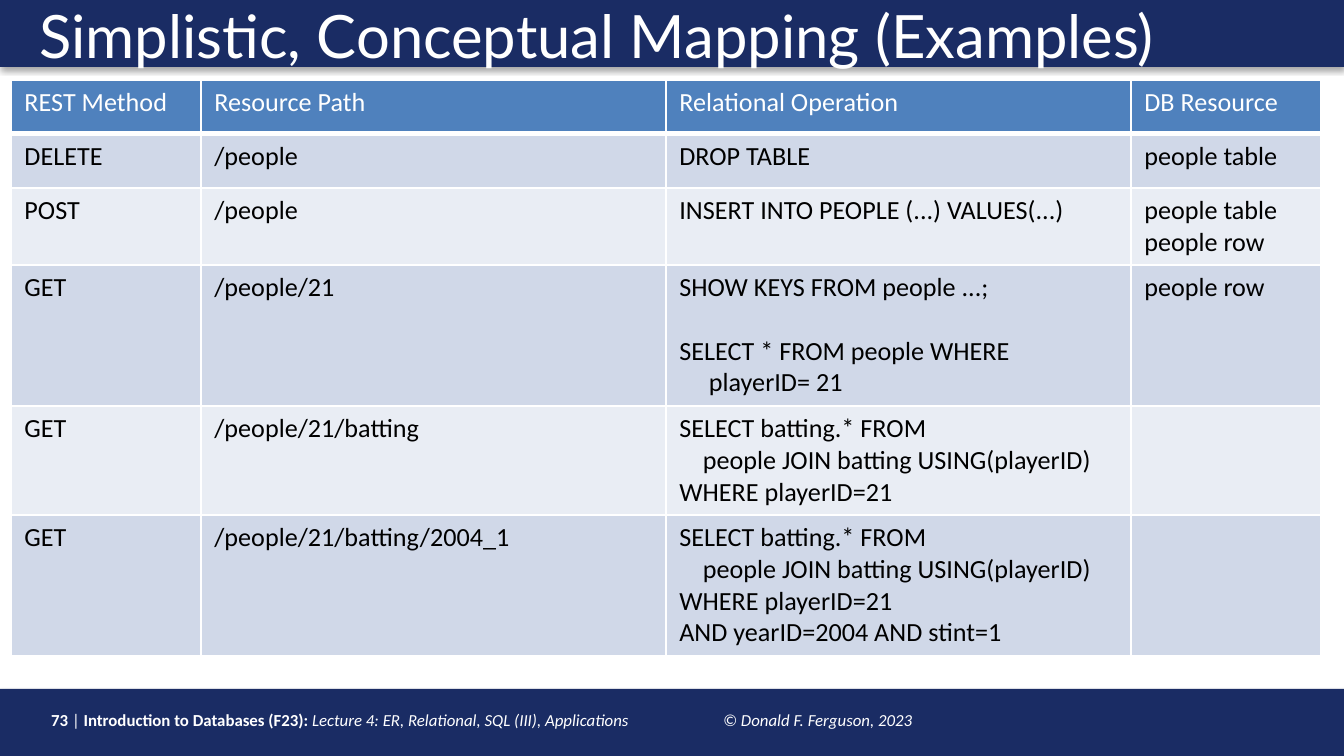
from dataclasses import dataclass

from lxml import etree
from pptx import Presentation
from pptx.dml.color import RGBColor
from pptx.enum.shapes import MSO_SHAPE
from pptx.enum.text import MSO_ANCHOR
from pptx.oxml import parse_xml
from pptx.oxml.ns import nsdecls, qn
from pptx.util import Pt

RECTANGLE = MSO_SHAPE.RECTANGLE
TOP = MSO_ANCHOR.TOP
PX = 914400 / 134.4

NAVY, WHITE, BLACK = "1A2C64", "FFFFFF", "000000"
HEADER_BLUE, BAND_DARK, BAND_LIGHT = "4F81BD", "D0D8E8", "E9EDF4"
TITLE_FORMAT = {"name": "Lato", "size": Pt(32), "bold": False}
FOOTER_FORMAT = {"name": "Calibri", "size": Pt(9)}
CELL_FORMAT = {"name": "Calibri", "size": Pt(14), "bold": False}
STATEMENT_GAP = Pt(17)
FOOTER_TAB = 672


@dataclass
class Box:
    left: int
    top: int
    width: int
    height: int


@dataclass
class Mapping:
    method: str
    resource: str
    operation: str  # a blank line separates two statements
    db_resource: str
    height: int


HEADINGS = Mapping("REST Method", "Resource Path", "Relational Operation", "DB Resource", 54)
BATTING_QUERY = """SELECT batting.* FROM
    people JOIN batting USING(playerID)
WHERE playerID=21"""
MAPPINGS = [
    Mapping("DELETE", "/people", "DROP TABLE", "people table", 54),
    Mapping("POST", "/people", "INSERT INTO PEOPLE (...) VALUES(...)",
            "people table\npeople row", 77),
    Mapping("GET", "/people/21",
            "SHOW KEYS FROM people ...;\n\nSELECT * FROM people WHERE\n     playerID= 21",
            "people row", 141),
    Mapping("GET", "/people/21/batting", BATTING_QUERY, "", 109),
    Mapping("GET", "/people/21/batting/2004_1",
            BATTING_QUERY + "\nAND yearID=2004 AND stint=1", "", 141),
]
COLUMN_WIDTHS = [190, 465, 465, 190]


def px(length: int) -> int:
    return round(length * PX)


def place(box: Box) -> tuple:
    return px(box.left), px(box.top), px(box.width), px(box.height)


def rgb(hex_color: str) -> RGBColor:
    return RGBColor.from_string(hex_color)


def add_run(paragraph, wording: str, color: str, formats: dict) -> None:
    run = paragraph.add_run()
    run.text = wording
    run.font.color.rgb = rgb(color)
    for attribute, value in formats.items():
        setattr(run.font, attribute, value)


def add_bar(slide, box: Box) -> None:
    bar = slide.shapes.add_shape(RECTANGLE, *place(box))
    bar.fill.solid()
    bar.fill.fore_color.rgb = rgb(NAVY)
    bar.line.fill.background()
    bar.shadow.inherit = False
    effects = bar.element.spPr.find(qn("a:effectLst"))
    effects.append(parse_xml(
        f'<a:outerShdw {nsdecls("a")} blurRad="{Pt(3.1)}" dist="{Pt(1.8)}" dir="5400000" '
        f'rotWithShape="0"><a:srgbClr val="{BLACK}"><a:alpha val="35000"/></a:srgbClr>'
        '</a:outerShdw>'))


def add_text_line(slide, box: Box):
    frame = slide.shapes.add_textbox(*place(box)).text_frame
    frame.word_wrap = True
    frame.vertical_anchor = TOP
    return frame.paragraphs[0]


def add_borders(cell, bottom_width: int) -> None:
    properties = cell._tc.get_or_add_tcPr()
    widths = {"lnL": 1, "lnR": 1, "lnT": 1, "lnB": bottom_width}
    for position, (side, width) in enumerate(widths.items()):
        properties.insert(position, parse_xml(
            f'<a:{side} {nsdecls("a")} w="{Pt(width)}"><a:solidFill>'
            f'<a:srgbClr val="{WHITE}"/></a:solidFill></a:{side}>'))


def fill_cell(cell, wording: str, color: str, background: str, bottom_width: int) -> None:
    cell.fill.solid()
    cell.fill.fore_color.rgb = rgb(background)
    add_borders(cell, bottom_width)
    frame = cell.text_frame
    for index, statement in enumerate(wording.split("\n\n")):
        for number, line in enumerate(statement.split("\n")):
            first = index == number == 0
            paragraph = frame.paragraphs[0] if first else frame.add_paragraph()
            if index and number == 0:
                paragraph.space_before = STATEMENT_GAP
            if line:
                add_run(paragraph, line, color, CELL_FORMAT)


def add_mapping_table(slide, left: int, top: int) -> None:
    rows = [HEADINGS, *MAPPINGS]
    box = Box(left, top, sum(COLUMN_WIDTHS), sum(row.height for row in rows))
    table = slide.shapes.add_table(len(rows), len(COLUMN_WIDTHS), *place(box)).table
    for column, width in zip(table.columns, COLUMN_WIDTHS):
        column.width = px(width)
    for index, mapping in enumerate(rows):
        table.rows[index].height = px(mapping.height)
        if index == 0:
            look = WHITE, HEADER_BLUE, 3
        else:
            look = BLACK, BAND_DARK if index % 2 else BAND_LIGHT, 1
        wordings = mapping.method, mapping.resource, mapping.operation, mapping.db_resource
        for cell, wording in zip(table.rows[index].cells, wordings):
            fill_cell(cell, wording, *look)


def add_footer(slide) -> None:
    footer = add_text_line(slide, Box(38, 703, 997, 34))
    stops = etree.SubElement(footer._p.get_or_add_pPr(), qn("a:tabLst"))
    etree.SubElement(stops, qn("a:tab"), pos=str(px(FOOTER_TAB)), algn="l")
    parts = [
        ("73 ", True, False),
        ("|", False, False),
        (" Introduction to Databases (F23): ", True, False),
        ("Lecture 4: ER, Relational, SQL (III), Applications \t© Donald F. Ferguson, 2023",
         False, True),
    ]
    for wording, bold, italic in parts:
        add_run(footer, wording, WHITE, {**FOOTER_FORMAT, "bold": bold, "italic": italic})


def main() -> None:
    deck = Presentation()
    deck.slide_width, deck.slide_height = px(1344), px(756)
    slide = deck.slides.add_slide(deck.slide_layouts[6])

    # Footer and title bands
    add_bar(slide, Box(0, 689, 1344, 67))
    add_footer(slide)
    add_bar(slide, Box(0, 0, 1344, 67))
    title = add_text_line(slide, Box(26, 0, 1274, 65))
    title.line_spacing = 0.9
    add_run(title, "Simplistic, Conceptual Mapping (Examples)", WHITE, TITLE_FORMAT)

    # REST to relational mapping
    add_mapping_table(slide, 11, 80)
    deck.save("out.pptx")


if __name__ == "__main__":
    main()
